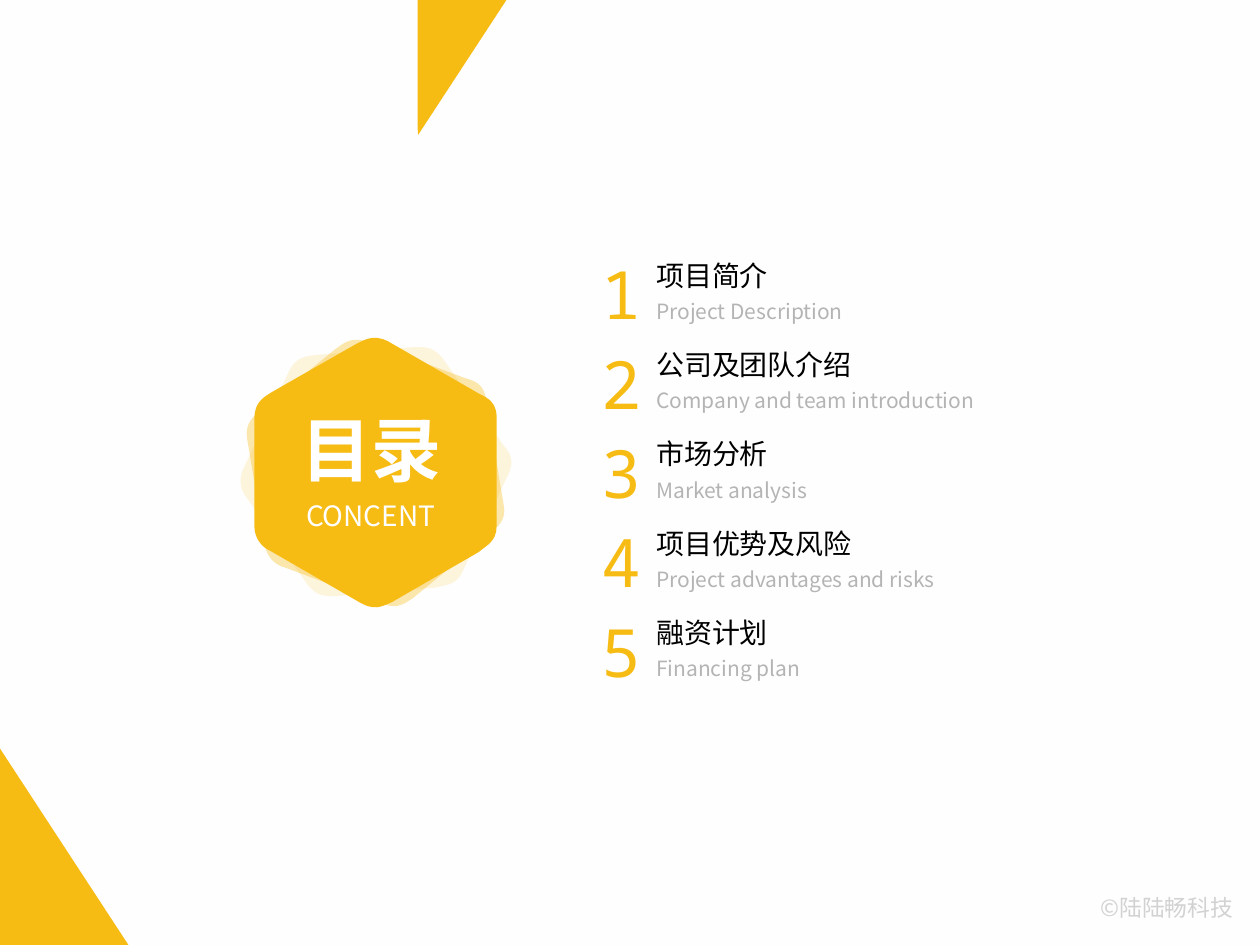
from dataclasses import dataclass

from lxml.etree import SubElement
from pptx import Presentation
from pptx.dml.color import RGBColor
from pptx.enum.shapes import MSO_SHAPE
from pptx.enum.text import MSO_ANCHOR, MSO_AUTO_SIZE, PP_ALIGN
from pptx.oxml.ns import qn
from pptx.util import Cm, Pt

YELLOW = RGBColor(0xF7, 0xBC, 0x14)
PAPER = RGBColor(0xFE, 0xFE, 0xFE)
WHITE = RGBColor(0xFF, 0xFF, 0xFF)
BLACK = RGBColor(0, 0, 0)
GREY = RGBColor(0xB4, 0xB4, 0xB4)
PALE_GREY = RGBColor(0xD2, 0xD2, 0xD2)
SANS = "Noto Sans CJK SC"
MONO = "Noto Sans Mono"

PAGE_WIDTH, PAGE_HEIGHT = 25.4, 19.05
FIRST_ROW, LAST_ROW = 4.98, 12.19

Point = tuple[float, float]

# Rounded corners of the hexagon: start, two handles and end of each curve (cm)
HEXAGON_CORNERS: list[tuple[Point, Point, Point, Point]] = [
    ((5.13, 8.43), (5.13, 8.1), (5.33, 8), (5.49, 7.9)),
    ((7.19, 6.93), (7.34, 6.86), (7.52, 6.73), (7.82, 6.88)),
    ((9.68, 7.95), (10.08, 8.13), (10.01, 8.33), (10.01, 8.81)),
    ((10.01, 10.62), (10.01, 10.92), (9.8, 11), (9.65, 11.13)),
    ((7.9, 12.14), (7.67, 12.24), (7.54, 12.32), (7.21, 12.12)),
    ((5.44, 11.1), (5.31, 11.05), (5.13, 10.87), (5.13, 10.62)),
]


@dataclass
class Style:
    size: float
    color: RGBColor
    font: str = SANS
    bold: bool = False


@dataclass
class Layer:
    rotation: float
    opacity: int


@dataclass
class Entry:
    title: str
    title_width: float
    subtitle: str
    subtitle_width: float


LAYERS = [Layer(350.5, 35), Layer(25.1, 15), Layer(0, 100)]
ENTRIES = [
    Entry("项目简介", 2.79, "Project Description", 4.39),
    Entry("公司及团队介绍", 4.5, "Company and team introduction", 7.16),
    Entry("市场分析", 2.79, "Market analysis", 3.66),
    Entry("项目优势及风险", 4.5, "Project advantages and risks", 6.3),
    Entry("融资计划", 2.79, "Financing plan", 3.48),
]
ROW_PITCH = (LAST_ROW - FIRST_ROW) / (len(ENTRIES) - 1)


def write(box, text: str, style: Style, wrap: bool = False) -> None:
    frame = box.text_frame
    frame.text = text
    frame.word_wrap = wrap
    frame.auto_size = MSO_AUTO_SIZE.SHAPE_TO_FIT_TEXT
    frame.vertical_anchor = MSO_ANCHOR.TOP
    para = frame.paragraphs[0]
    para.alignment = PP_ALIGN.LEFT
    font = para.font
    font.size = Pt(style.size)
    font.bold = style.bold
    font.color.rgb = style.color
    font.name = style.font
    # East Asian characters take their typeface from a separate element
    defaults = para._p.pPr.find(qn("a:defRPr"))
    SubElement(defaults, qn("a:ea")).set("typeface", style.font)


def add_text(shapes, left: float, top: float, width: float, height: float,
             text: str, style: Style, wrap: bool = False) -> None:
    box = shapes.add_textbox(Cm(left), Cm(top), Cm(width), Cm(height))
    write(box, text, style, wrap)


def add_outline(page, points: list[Point], opacity: int = 100):
    start, *others = [(Cm(x), Cm(y)) for x, y in points]
    builder = page.shapes.build_freeform(*start)
    builder.add_line_segments(others, close=True)
    shape = builder.convert_to_shape()
    shape.shadow.inherit = False
    shape.fill.solid()
    shape.fill.fore_color.rgb = YELLOW
    shape.line.fill.background()
    if opacity < 100:
        color = shape.element.spPr.find(qn("a:solidFill"))[0]
        SubElement(color, qn("a:alpha")).set("val", str(opacity * 1000))
    return shape


def add_hexagon(page, layer: Layer) -> None:
    points = [point for corner in HEXAGON_CORNERS for point in corner]
    shape = add_outline(page, points, layer.opacity)
    shape.rotation = layer.rotation
    # Each corner's two handles and end become one curve
    lines = list(shape.element.iter(qn("a:lnTo")))
    for first in range(0, len(lines), 4):
        corner = lines[first:first + 3]
        curve = corner[0].makeelement(qn("a:cubicBezTo"))
        corner[0].addprevious(curve)
        for line in corner:
            curve.append(line[0])
            line.getparent().remove(line)


def add_entry(page, number: int, entry: Entry) -> None:
    top = FIRST_ROW + (number - 1) * ROW_PITCH
    shapes = page.shapes.add_group_shape().shapes
    add_text(shapes, 12.98, top + 0.1, entry.title_width, 0.94,
             entry.title, Style(16, BLACK))
    add_text(shapes, 12.98, top + 0.91, entry.subtitle_width, 0.76,
             entry.subtitle, Style(12, GREY))
    add_text(shapes, 11.88, top, 1.27, 1.88, str(number), Style(38, YELLOW, MONO))


def main() -> None:
    deck = Presentation()
    deck.slide_width, deck.slide_height = Cm(PAGE_WIDTH), Cm(PAGE_HEIGHT)
    page = deck.slides.add_slide(deck.slide_layouts[5])

    # Backdrop
    backdrop = page.shapes.add_shape(
        MSO_SHAPE.RECTANGLE, 0, 0, Cm(PAGE_WIDTH), Cm(PAGE_HEIGHT))
    backdrop.shadow.inherit = False
    backdrop.fill.solid()
    backdrop.fill.fore_color.rgb = PAPER
    backdrop.line.fill.background()

    # Badge of stacked hexagons
    for layer in LAYERS:
        add_hexagon(page, layer)

    # Title, brought in front of the badge
    title = page.shapes.title
    title.left, title.top, title.width, title.height = (
        Cm(5.82), Cm(8.07), Cm(3.35), Cm(1.96))
    write(title, "目录", Style(40, WHITE, bold=True))
    title.element.getparent().append(title.element)
    add_text(page.shapes, 5.92, 9.93, 3.38, 0.94, "CONCENT", Style(16, WHITE))

    # Corner triangles
    add_outline(page, [(0, PAGE_HEIGHT), (0, 15.09), (2.59, PAGE_HEIGHT)])
    add_outline(page, [(8.42, 0), (8.42, 2.59), (8.43, 2.72), (10.21, 0)])

    # Contents
    for number, entry in enumerate(ENTRIES, start=1):
        add_entry(page, number, entry)

    # Copyright line
    add_text(page.shapes, 21.94, 17.89, 3.2, 0.81, "©陆陆畅科技",
             Style(13, PALE_GREY), wrap=True)

    deck.save("out.pptx")


if __name__ == "__main__":
    main()
